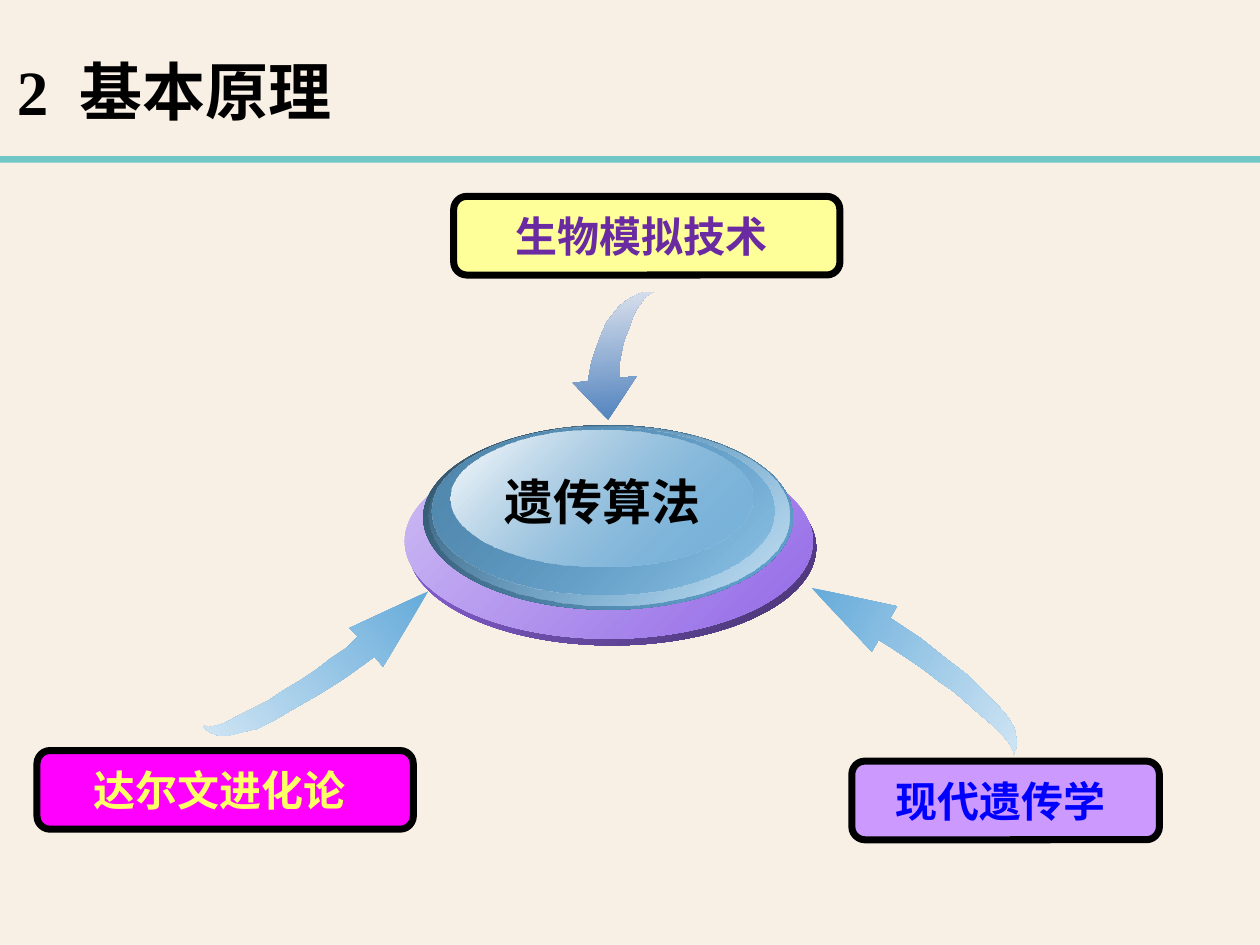
from lxml import etree
from pptx import Presentation
from pptx.dml.color import RGBColor
from pptx.enum.shapes import MSO_SHAPE
from pptx.enum.text import MSO_ANCHOR, MSO_AUTO_SIZE, PP_ALIGN
from pptx.oxml.ns import qn
from pptx.util import Cm, Pt

RECTANGLE, ELLIPSE = MSO_SHAPE.RECTANGLE, MSO_SHAPE.OVAL
ROUNDED = MSO_SHAPE.ROUNDED_RECTANGLE
MIDDLE, NO_AUTOFIT = MSO_ANCHOR.MIDDLE, MSO_AUTO_SIZE.NONE
LEFT, CENTER = PP_ALIGN.LEFT, PP_ALIGN.CENTER
CJK_FONT = "Noto Sans CJK SC"
POINT_SCALE = Cm(2.54) / 100

COLORS = {
    "cream": "F8F0E5", "teal": "71C6C6", "black": "000000", "white": "FFFFFF",
    "violet": "9369E7", "dark_violet": "473370", "lilac": "CFBDF4",
    "navy": "2F4F65", "sky": "66ABDA", "ice": "CAE2F2", "steel": "5187AD",
    "pale_sky": "CEE4F3", "royal": "4F81BD", "mist": "DBE1ED",
    "magenta": "FF00FF", "lemon": "FFFF66", "mauve": "CC99FF",
    "blue": "0000FF", "yellow": "FFFF99", "purple": "692AA2",
}

DISC_LAYERS = [
    ((6.17, 6.81, 6.17, 2.95), ("violet", 100), ("dark_violet", 100)),
    ((6.12, 6.71, 6.17, 2.95), ("lilac", 100), ("violet", 100)),
    ((6.4, 6.43, 5.59, 2.79), ("navy", 100), ("sky", 100)),
    ((6.48, 6.43, 5.46, 2.72), ("sky", 0), ("ice", 100)),
    ((6.53, 6.45, 5.18, 2.54), ("steel", 100), ("sky", 48)),
    ((6.81, 6.5, 4.57, 2.06), ("white", 100), ("sky", 38)),
]

LABELS = [
    ("达尔文进化论", (0.56, 11.35, 5.69, 1.19), "magenta", "lemon"),
    ("现代遗传学", (12.88, 11.51, 4.65, 1.19), "mauve", "blue"),
    ("生物模拟技术", (6.86, 2.97, 5.84, 1.19), "yellow", "purple"),
]

ARROWS = [
    ("sky", "pale_sky", 29, [
        (603, 450), (605, 445), (605, 440), (604, 434), (600, 427), (594, 420),
        (586, 412), (576, 402), (563, 392), (548, 380), (530, 368), (534, 361),
        (483, 350), (519, 388), (523, 381), (531, 386), (540, 392), (549, 398),
        (558, 405), (568, 412), (576, 419), (584, 426), (591, 432), (597, 438),
        (601, 443), (603, 447)]),
    ("royal", "mist", 265, [
        (389, 174), (383, 174), (378, 176), (373, 179), (369, 182), (365, 187),
        (361, 192), (358, 199), (355, 207), (352, 216), (350, 227), (341, 228),
        (362, 250), (379, 224), (369, 225), (369, 221), (369, 215), (370, 210),
        (371, 205), (373, 199), (375, 194), (377, 188), (379, 184), (382, 180),
        (384, 177), (387, 175)]),
    ("sky", "pale_sky", 139, [
        (121, 433), (125, 436), (130, 438), (136, 438), (144, 436), (153, 434),
        (163, 429), (175, 422), (189, 414), (205, 404), (223, 391), (228, 397),
        (255, 352), (208, 374), (213, 379), (206, 386), (197, 392), (188, 399),
        (179, 405), (169, 411), (160, 417), (150, 422), (142, 426), (135, 430),
        (129, 432), (124, 433), (122, 432)]),
]


def color(name):
    """Return the named colour."""
    return RGBColor.from_string(COLORS[name])


def add_run(paragraph, text, size, color_name, font_name, spacing=0):
    """Append a bold run, with optional letter spacing in points."""
    run = paragraph.add_run()
    run.text = text
    run.font.size = Pt(size)
    run.font.bold = True
    run.font.name = font_name
    run.font.color.rgb = color(color_name)
    properties = run._r.get_or_add_rPr()
    etree.SubElement(properties, qn("a:ea")).set("typeface", CJK_FONT)
    if spacing:
        properties.set("spc", str(round(spacing * 100)))


def fill_gradient(shape, stops, angle):
    """Fill with two (colour, opacity) stops at a clockwise angle."""
    shape.fill.gradient()
    shape.fill.gradient_angle = (360 - angle) % 360
    for stop, (name, opacity) in zip(shape.fill.gradient_stops, stops):
        stop.color.rgb = color(name)
    values = shape._element.spPr.iter(qn("a:srgbClr"))
    for value, (name, opacity) in zip(values, stops):
        if opacity < 100:
            etree.SubElement(value, qn("a:alpha")).set("val", str(opacity * 1000))


def add_plain_shape(slide, kind, box):
    """Add a preset shape without outline or shadow."""
    shape = slide.shapes.add_shape(kind, *map(Cm, box))
    shape.line.fill.background()
    shape.shadow.inherit = False
    return shape


def add_title(slide):
    """Fill the title placeholder."""
    title = slide.shapes.title
    title.left, title.top, title.width, title.height = map(Cm, (0, 0.58, 17.15, 1.57))
    frame = title.text_frame
    frame.auto_size = NO_AUTOFIT
    frame.vertical_anchor = MIDDLE
    paragraph = frame.paragraphs[0]
    paragraph.alignment = LEFT
    for text, spacing in (("2", 0), (" ", 6.75), ("基本原理", 0)):
        add_run(paragraph, text, 27, "black", "Times New Roman", spacing)


def add_disc(slide):
    """Stack the shaded ellipses and put the central term on them."""
    for box, start, end in DISC_LAYERS:
        fill_gradient(add_plain_shape(slide, ELLIPSE, box), (start, end), 45)
    text_box = slide.shapes.add_textbox(*map(Cm, (7.29, 7.01, 3.63, 1.14)))
    frame = text_box.text_frame
    frame.word_wrap = False
    frame.vertical_anchor = MIDDLE
    paragraph = frame.paragraphs[0]
    paragraph.alignment = CENTER
    add_run(paragraph, "遗传算法", 21, "black", CJK_FONT)


def add_label(slide, text, box, fill_name, text_name):
    """Add a rounded, black-edged label."""
    label = add_plain_shape(slide, ROUNDED, box)
    label.fill.solid()
    label.fill.fore_color.rgb = color(fill_name)
    label.line.color.rgb = color("black")
    label.line.width = Pt(3)
    frame = label.text_frame
    frame.margin_left, frame.margin_right = Cm(0.25), Cm(0.41)
    frame.margin_top = frame.margin_bottom = 0
    frame.vertical_anchor = MIDDLE
    paragraph = frame.paragraphs[0]
    paragraph.alignment = CENTER
    add_run(paragraph, text, 18, text_name, "Arial")


def add_curved_arrow(slide, tip_name, tail_name, angle, points):
    """Draw a curved arrow shaded from its tip to its tail."""
    builder = slide.shapes.build_freeform(*points[0], scale=POINT_SCALE)
    builder.add_line_segments(points[1:], close=True)
    arrow = builder.convert_to_shape()
    arrow.line.fill.background()
    arrow.shadow.inherit = False
    fill_gradient(arrow, ((tip_name, 100), (tail_name, 100)), angle)


def main():
    """Build and save the slide."""
    presentation = Presentation()
    presentation.slide_width, presentation.slide_height = Cm(19.05), Cm(14.29)
    slide = presentation.slides.add_slide(presentation.slide_layouts[5])
    slide.background.fill.solid()
    slide.background.fill.fore_color.rgb = color("cream")
    rule = add_plain_shape(slide, RECTANGLE, (0, 2.36, 19.05, 0.1))
    rule.fill.solid()
    rule.fill.fore_color.rgb = color("teal")
    add_title(slide)
    add_disc(slide)
    for label in LABELS:
        add_label(slide, *label)
    for arrow in ARROWS:
        add_curved_arrow(slide, *arrow)
    presentation.save("out.pptx")


if __name__ == "__main__":
    main()
